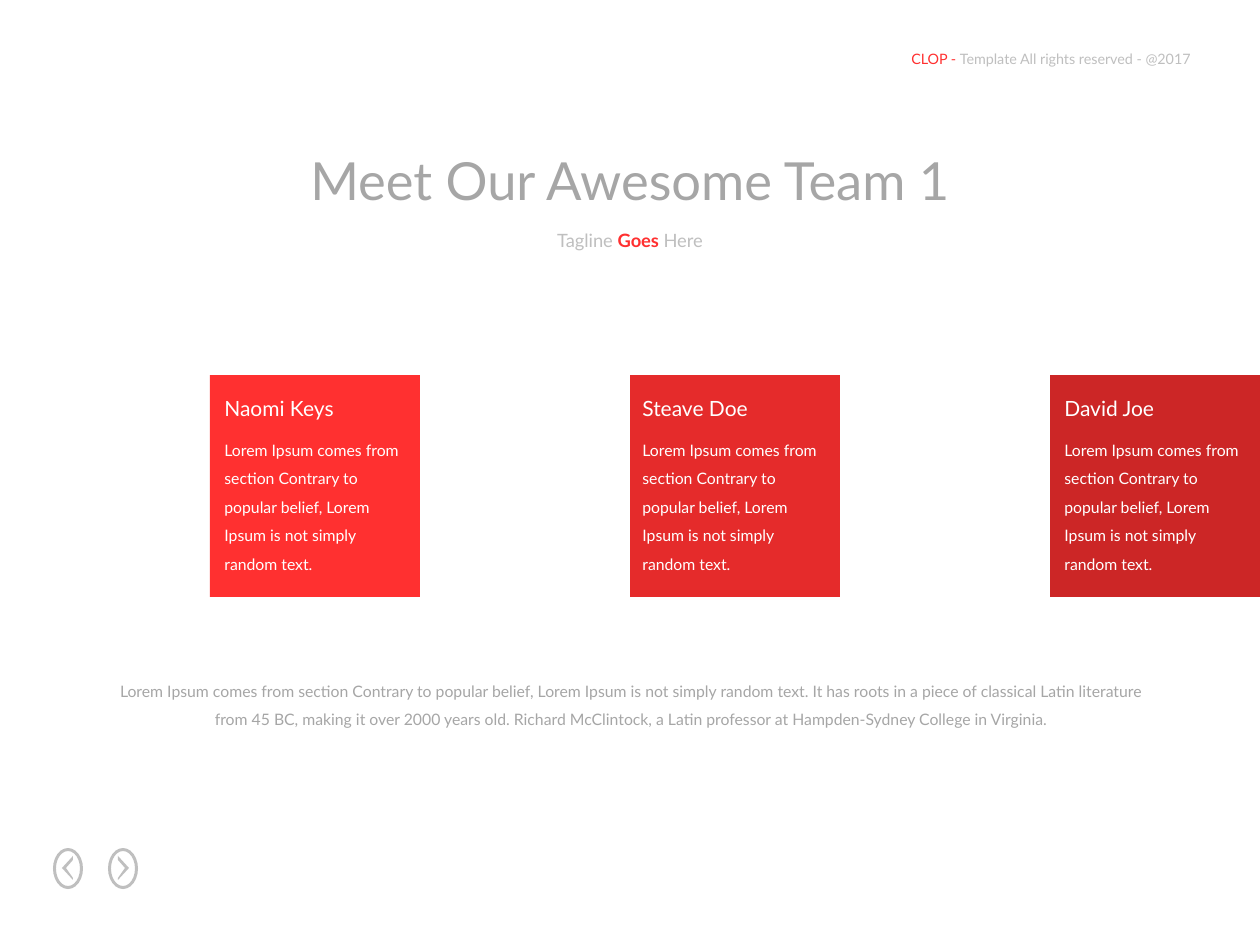
from pptx import Presentation
from pptx.dml.color import RGBColor
from pptx.enum.shapes import MSO_SHAPE as Shape
from pptx.enum.text import MSO_ANCHOR as Anchor, MSO_AUTO_SIZE as AutoSize, PP_ALIGN as Align
from pptx.util import Pt

PX = 914400 / 126  # EMU per px
FONT = "Lato"

RED = RGBColor(0xFF, 0x30, 0x30)
MID_RED = RGBColor(0xE5, 0x2B, 0x2B)
DARK_RED = RGBColor(0xCC, 0x26, 0x26)
WHITE = RGBColor(0xFF, 0xFF, 0xFF)
GREY = RGBColor(0xA6, 0xA6, 0xA6)
LIGHT_GREY = RGBColor(0xBF, 0xBF, 0xBF)

# Content: runs are (text, colour, bold)
HEADER = [("CLOP - ", RED, False),
          ("Template All rights reserved - @2017", LIGHT_GREY, False)]
TITLE = [("Meet Our Awesome Team 1", GREY, False)]
TAGLINE = [("Tagline ", LIGHT_GREY, False), ("Goes ", RED, True),
           ("Here", LIGHT_GREY, False)]
BIO = ("Lorem Ipsum comes from section Contrary to popular belief, "
       "Lorem Ipsum is not simply random text.")
SUMMARY = BIO + (" It has roots in a piece of classical Latin literature from 45 BC, "
                 "making it over 2000 years old. Richard McClintock, a Latin professor "
                 "at Hampden-Sydney College in Virginia.")
# Name, card colour, text offset from the card's left edge
TEAM = [("Naomi Keys", RED, 2), ("Steave Doe", MID_RED, 0), ("David Joe", DARK_RED, 2)]

# Layout in px
CARD_LEFT, CARD_TOP, CARD_W, CARD_H, CARD_STEP = 210, 375, 210, 222, 420
RING_TOP, RING_W, RING_H = 848, 30, 41
BUTTONS = [(53, 1), (108, -1)]  # ring left, direction (1 points left)
CHEVRON = [(5, -8), (-2, 0), (5, 9), (5, 12), (-6, 0), (5, -12)]  # from ring centre


def px(*lengths):
    return [round(length * PX) for length in lengths]


def write(box, runs, size, align=Align.LEFT, spacing=None, wrap=False):
    frame = box.text_frame
    frame.word_wrap = wrap
    frame.auto_size = AutoSize.SHAPE_TO_FIT_TEXT
    frame.vertical_anchor = Anchor.TOP
    paragraph = frame.paragraphs[0]
    paragraph.alignment = align
    if spacing:
        paragraph.line_spacing = spacing
    for text, colour, bold in runs:
        run = paragraph.add_run()
        run.text = text
        run.font.name = FONT
        run.font.size = Pt(size)
        run.font.bold = bold
        run.font.color.rgb = colour


def paint(shape, colour):
    shape.shadow.inherit = False
    shape.fill.solid()
    shape.fill.fore_color.rgb = colour
    shape.line.fill.background()


prs = Presentation()
prs.slide_width, prs.slide_height = px(1260, 945)
slide = prs.slides.add_slide(prs.slide_layouts[5])
shapes = slide.shapes


def add_text(area, *args, **options):
    write(shapes.add_textbox(*px(*area)), *args, **options)


# Header, title and tagline
add_text((899, 44, 315, 30), HEADER, 8.2)
title = shapes.title
title.left, title.top, title.width, title.height = px(286, 142, 688, 77)
write(title, TITLE, 30, Align.CENTER)
add_text((542, 223, 176, 35), TAGLINE, 10.5, Align.CENTER)

# Previous and next buttons
for ring_left, direction in BUTTONS:
    ring = shapes.add_shape(Shape.DONUT, *px(ring_left, RING_TOP, RING_W, RING_H))
    ring.adjustments[0] = 0.1
    paint(ring, LIGHT_GREY)
    centre_x, centre_y = ring_left + RING_W / 2, RING_TOP + RING_H / 2
    points = [(centre_x + direction * x, centre_y + y) for x, y in CHEVRON]
    outline = shapes.build_freeform(*points[0], scale=PX)
    outline.add_line_segments(points[1:], close=True)
    paint(outline.convert_to_shape(), LIGHT_GREY)

# Team cards
for index, (name, colour, offset) in enumerate(TEAM):
    left = CARD_LEFT + index * CARD_STEP
    card = shapes.add_shape(Shape.RECTANGLE, *px(left, CARD_TOP, CARD_W, CARD_H))
    paint(card, colour)
    text_left = left + offset
    add_text((text_left, 425, 208, 156), [(BIO, WHITE, False)], 9, spacing=1.5, wrap=True)
    add_text((text_left, 389, 137, 38), [(name, WHITE, False)], 12)

# Summary
add_text((95, 666, 1071, 71), [(SUMMARY, GREY, False)], 9, Align.CENTER,
         spacing=1.5, wrap=True)

prs.save("out.pptx")
